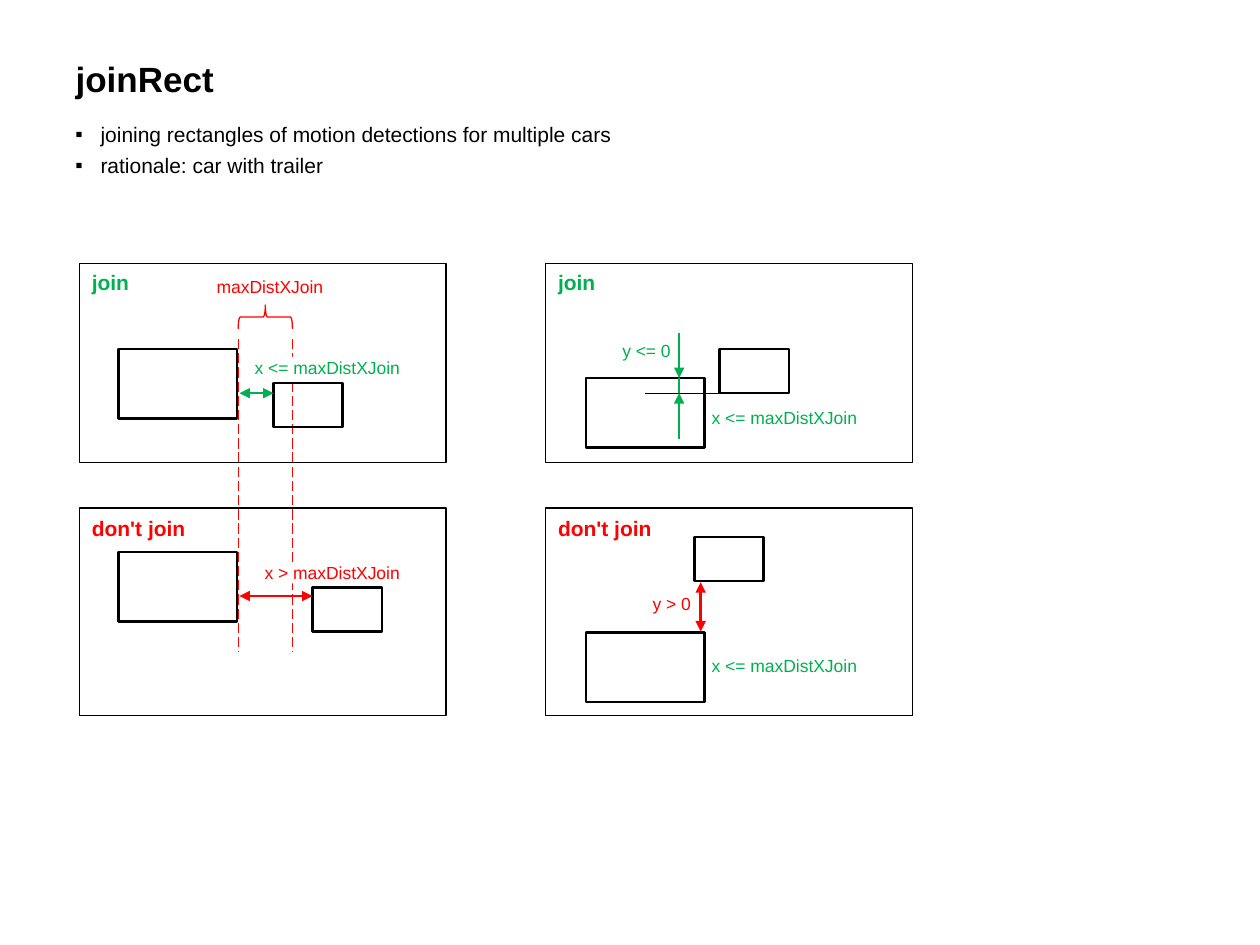
from lxml import etree
from pptx import Presentation
from pptx.dml.color import RGBColor
from pptx.enum.dml import MSO_LINE
from pptx.enum.shapes import MSO_CONNECTOR, MSO_SHAPE
from pptx.enum.text import MSO_ANCHOR, MSO_AUTO_SIZE, PP_ALIGN
from pptx.oxml.ns import qn
from pptx.util import Pt

STRAIGHT = MSO_CONNECTOR.STRAIGHT
RECT, BRACE = MSO_SHAPE.RECTANGLE, MSO_SHAPE.RIGHT_BRACE
LONG_DASH = MSO_LINE.LONG_DASH
LEFT, TOP, MIDDLE = PP_ALIGN.LEFT, MSO_ANCHOR.TOP, MSO_ANCHOR.MIDDLE
GROW = MSO_AUTO_SIZE.SHAPE_TO_FIT_TEXT

COLORS = {"black": "000000", "white": "FFFFFF", "red": "FF0000", "green": "00B050"}
FONT = "Arial"
THIN, THICK = 0.75, 1.5
CAR = (67.7, 39.6)
TRAILER = (39.6, 25.2)
NEAR = "x <= maxDistXJoin"


def rgb(color):
    return RGBColor.from_string(COLORS[color])


def add_span(para, text, size, color, bold=False):
    span = para.add_run()
    span.text = text
    span.font.name = FONT
    span.font.size = Pt(size)
    span.font.bold = bold
    span.font.color.rgb = rgb(color)


def add_outline(page, kind, left, top, width, height, color="black", weight=THICK):
    shape = page.shapes.add_shape(kind, Pt(left), Pt(top), Pt(width), Pt(height))
    shape.shadow.inherit = False
    shape.fill.background()
    shape.line.color.rgb = rgb(color)
    shape.line.width = Pt(weight)
    return shape


def add_label(page, text, left, top, width, height, color, size=10, bold=False, masked=False):
    box = page.shapes.add_textbox(Pt(left), Pt(top), Pt(width), Pt(height))
    frame = box.text_frame
    frame.word_wrap = False
    frame.auto_size = GROW
    if masked:
        box.fill.solid()
        box.fill.fore_color.rgb = rgb("white")
        frame.margin_left = frame.margin_right = frame.margin_top = frame.margin_bottom = 0
    add_span(frame.paragraphs[0], text, size, color, bold)


def add_line(page, x1, y1, x2, y2, color, weight=THICK, ends=(), dash=None):
    line = page.shapes.add_connector(STRAIGHT, Pt(x1), Pt(y1), Pt(x2), Pt(y2))
    line.line.color.rgb = rgb(color)
    line.line.width = Pt(weight)
    if dash:
        line.line.dash_style = dash
    properties = line.element.spPr
    for end in ends:
        etree.SubElement(properties.find(qn("a:ln")), qn(end), type="triangle")
    etree.SubElement(properties, qn("a:effectLst"))


HEAD, TAIL = "a:headEnd", "a:tailEnd"
BOTH = (HEAD, TAIL)


def add_title(page, left, top, width, height):
    title = page.shapes.title
    title.left, title.top, title.width, title.height = map(Pt, (left, top, width, height))
    title.text_frame.vertical_anchor = MIDDLE
    para = title.text_frame.paragraphs[0]
    para.alignment = LEFT
    add_span(para, "joinRect", 20, "black", True)


def add_bullets(page, left, top, width, height):
    box = page.shapes.add_textbox(Pt(left), Pt(top), Pt(width), Pt(height))
    frame = box.text_frame
    frame.word_wrap = True
    frame.vertical_anchor = TOP
    lines = ("joining rectangles of motion detections for multiple cars",
             "rationale: car with trailer")
    for index, text in enumerate(lines):
        para = frame.add_paragraph() if index else frame.paragraphs[0]
        para.space_before = Pt(3)
        add_span(para, text, 12, "black")
        properties = para._p.get_or_add_pPr()
        properties.set("marL", str(Pt(14.4)))
        properties.set("indent", str(-Pt(14.4)))
        etree.SubElement(properties, qn("a:buFont"), typeface=FONT)
        etree.SubElement(properties, qn("a:buChar"), char="▪")


def add_threshold(page, left, top, width, height):
    for x in (left, left + width):
        add_line(page, x, top, x, top + height, "red", THIN, dash=LONG_DASH)


def add_panel(page, left, top, width, height, joined, car, trailer):
    add_outline(page, RECT, left, top, width, height, weight=THIN)
    if joined:
        add_label(page, "join", left, top, 36, 21.6, "green", 12, True)
    else:
        add_label(page, "don't join", left, top + 0.7, 69.1, 21.6, "red", 12, True)
    for (x, y), size in ((car, CAR), (trailer, TRAILER)):
        add_outline(page, RECT, left + x, top + y, *size)


def add_x_join(page, left, top, width, height):
    add_panel(page, left, top, width, height, True, (22.3, 49), (110.9, 68.4))
    add_label(page, "maxDistXJoin", left + 71.3, top + 3.6, 76.3, 19.4, "red")
    brace = add_outline(page, BRACE, left + 99.4, top + 15.1, 13.7, 31, "red", THIN)
    brace.rotation = 270
    add_label(page, NEAR, left + 100.1, top + 53.3, 84.2, 12.2, "green", masked=True)
    add_line(page, left + 91.4, top + 74.2, left + 110.9, top + 74.2, "green", ends=BOTH)


def add_x_apart(page, left, top, width, height):
    add_panel(page, left, top, width, height, False, (22.3, 25.2), (133.2, 45.4))
    add_label(page, "x > maxDistXJoin", left + 105.8, top + 31, 80.6, 12.2, "red", masked=True)
    add_line(page, left + 91.4, top + 50.4, left + 133.2, top + 50.4, "red", ends=BOTH)


def add_y_join(page, left, top, width, height):
    add_panel(page, left, top, width, height, True, (23, 65.5), (99.4, 49))
    add_label(page, "y <= 0", left + 36.7, top + 40.3, 42.5, 19.4, "green")
    add_label(page, NEAR, left + 87.8, top + 78.5, 98.6, 19.4, "green")
    car_top, trailer_bottom = top + 65.5, top + 74.2
    add_line(page, left + 56.9, trailer_bottom, left + 99.4, trailer_bottom, "black", THIN)
    x = left + 76.3
    add_line(page, x, top + 100.1, x, trailer_bottom, "green", ends=(TAIL,))
    add_line(page, x, top + 39.6, x, car_top, "green", ends=(TAIL,))
    add_line(page, x, trailer_bottom, x, car_top, "green")


def add_y_apart(page, left, top, width, height):
    add_panel(page, left, top, width, height, False, (23, 71.3), (85, 16.6))
    add_label(page, "y > 0", left + 54, top + 45.4, 36.7, 19.4, "red")
    add_label(page, NEAR, left + 87.8, top + 80.6, 98.6, 19.4, "green")
    add_line(page, left + 88.6, top + 42.5, left + 88.6, top + 70.6, "red", ends=BOTH)


deck = Presentation()
deck.slide_width, deck.slide_height = Pt(720), Pt(540)
page = deck.slides.add_slide(deck.slide_layouts[5])

add_title(page, 36, 21.6, 648, 46.8)
add_bullets(page, 36, 66.2, 648, 48.2)
add_threshold(page, 136.1, 193.7, 31, 178.5)
columns = (45.4, 311.8)
rows = ((150.5, 113.8), (290.2, 118.8))
scenes = ((add_x_join, add_y_join), (add_x_apart, add_y_apart))
for (top, height), scene_row in zip(rows, scenes):
    for left, add_scene in zip(columns, scene_row):
        add_scene(page, left, top, 209.5, height)

deck.save("out.pptx")
